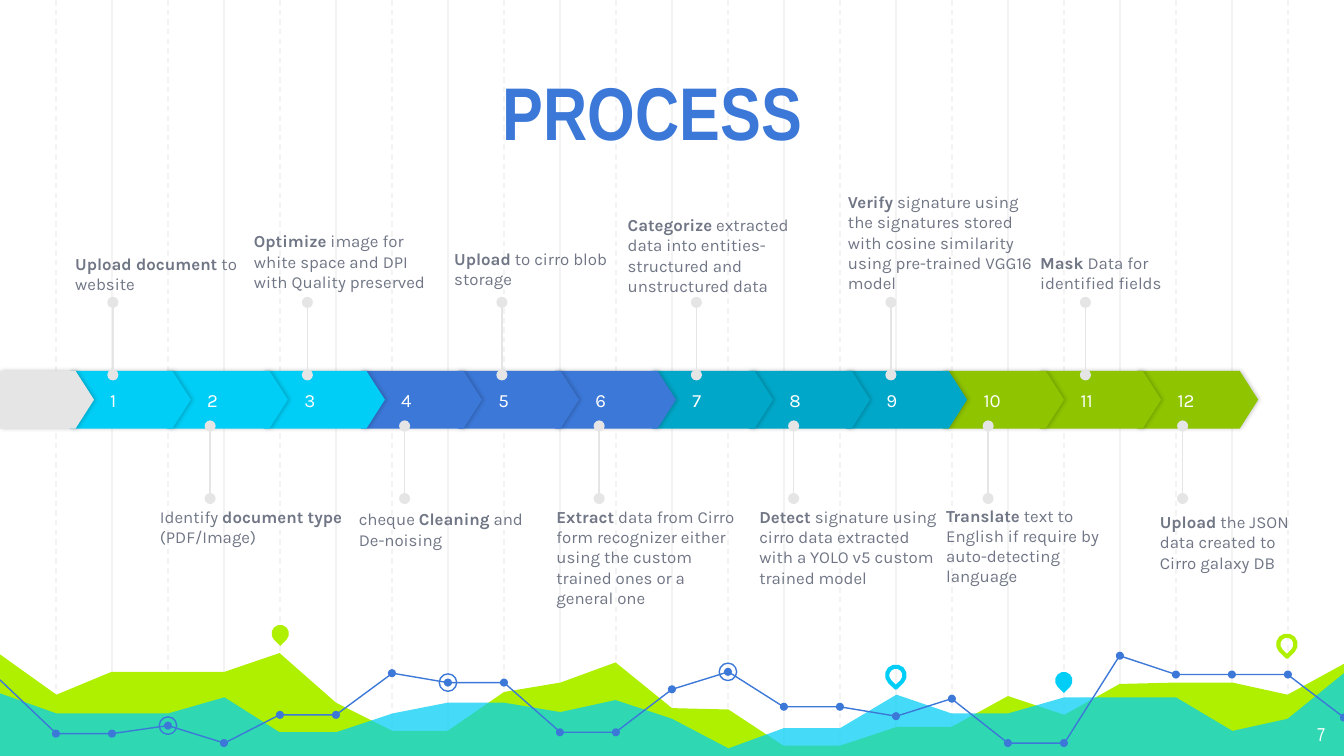
from dataclasses import dataclass
from typing import NamedTuple, Optional

from lxml.etree import SubElement
from pptx import Presentation
from pptx.dml.color import RGBColor
from pptx.enum.dml import MSO_LINE
from pptx.enum.shapes import MSO_CONNECTOR, MSO_SHAPE
from pptx.enum.text import MSO_ANCHOR, MSO_AUTO_SIZE, PP_ALIGN
from pptx.oxml.ns import qn
from pptx.util import Cm, Pt

BLUE, CYAN, TEAL = "3C78D8", "00CEF6", "00A7C8"
LIME, GREEN = "AFF000", "8EC400"
GRAY, PALE, TEXT_GRAY, WHITE = "E5E5E5", "F3F3F3", "707685", "FFFFFF"
HEADING_FONT, BODY_FONT = "Arial Narrow", "Karla"

GRID = 10 / 24
CHEVRON_PITCH = 0.722
PIN_PITCH = 0.7236

# Heights at each grid line, in hundredths of an inch
LIME_AREA = [487, 517, 500, 500, 500, 486, 523, 544, 544, 515, 508, 493, 527,
             528, 555, 555, 541, 541, 518, 532, 509, 508, 508, 517, 494]
CYAN_AREA = [516, 531, 531, 531, 519, 545, 545, 531, 523, 523, 530, 521, 535,
             557, 542, 542, 517, 531, 531, 519, 519, 519, 544, 535, 501]
TREND = [506, 546, 546, 540, 553, 532, 532, 501, 508, 508, 545, 545, 513,
         500, 526, 526, 533, 520, 553, 553, 488, 502, 502, 502, 534]
TREND_PARTS = [(0, 11), (11, 20), (20, 24)]
RINGED_POINTS = [3, 8, 13]


class Run(NamedTuple):
    text: str
    bold: bool = False


class Marker(NamedTuple):
    left: float
    top: float
    color: str
    filled: bool


@dataclass
class Step:
    left: float
    top: float
    paragraphs: list
    width: float = 1.37
    anchor: MSO_ANCHOR = MSO_ANCHOR.TOP


MARKERS = [
    Marker(2.02, 4.65, LIME, True),
    Marker(6.6, 4.96, CYAN, False),
    Marker(7.85, 5, CYAN, True),
    Marker(9.51, 4.73, LIME, False),
]
BOTTOM = MSO_ANCHOR.BOTTOM
STEPS = [
    Step(0.56, 1.61, [[Run("Upload document ", True), Run("to website")]], anchor=BOTTOM),
    Step(1.19, 3.77, [[Run("Identify "), Run("document type ", True), Run("(PDF/Image)")]]),
    Step(1.89, 1.72, [[Run("Optimize", True),
                       Run(" image for white space and DPI with Quality preserved")]]),
    Step(2.67, 3.51, [[Run("cheque "), Run("Cleaning", True), Run(" and")],
                      [Run("De-noising")]], anchor=BOTTOM),
    Step(3.38, 1.57, [[Run("Upload", True), Run(" to cirro blob storage")]], anchor=BOTTOM),
    Step(4.14, 3.77, [[Run("Extract", True),
                       Run(" data from Cirro form recognizer either using the custom "
                           "trained ones or a general one")]]),
    Step(4.67, 1.62, [[Run("Categorize", True),
                       Run(" extracted data into entities- structured and "
                           "unstructured data")]], anchor=BOTTOM),
    Step(5.65, 3.77, [[Run("Detect", True),
                       Run(" signature using cirro data extracted with a YOLO v5 "
                           "custom trained model")]], width=1.32),
    Step(6.31, 1.6, [[Run("Verify", True),
                      Run(" signature using the signatures stored with cosine "
                          "similarity using pre-trained VGG16 model")]], anchor=BOTTOM),
    Step(7.04, 3.76, [[Run("Translate", True),
                       Run(" text to English if require by auto-detecting language")]]),
    Step(7.74, 1.6, [[Run("Mask", True), Run(" Data for identified fields")]], anchor=BOTTOM),
    Step(8.63, 3.81, [[Run("Upload", True),
                       Run(" the JSON data created to Cirro galaxy DB")]], width=1.13),
]
STEP_COLORS = [CYAN, BLUE, TEAL, GREEN]


def inch(value: float) -> Cm:
    return Cm(value * 2.54)


def rgb(color: str) -> RGBColor:
    return RGBColor.from_string(color)


def paint(shape, fill: Optional[str] = None, line: Optional[str] = None,
          width: float = 0.75) -> None:
    shape.shadow.inherit = False
    if fill:
        shape.fill.solid()
        shape.fill.fore_color.rgb = rgb(fill)
    else:
        shape.fill.background()
    if line:
        shape.line.color.rgb = rgb(line)
        shape.line.width = Pt(width)
    else:
        shape.line.fill.background()


def add_preset(slide, kind, left: float, top: float, width: float, height: float):
    return slide.shapes.add_shape(kind, inch(left), inch(top), inch(width), inch(height))


def add_line(slide, x: float, start: float, end: float, color: str,
             dashed: bool = False, dots: bool = False) -> None:
    connector = slide.shapes.add_connector(
        MSO_CONNECTOR.STRAIGHT, inch(x), inch(start), inch(x), inch(end))
    connector.line.color.rgb = rgb(color)
    connector.line.width = Pt(0.75)
    if dashed:
        connector.line.dash_style = MSO_LINE.DASH
    properties = connector.element.spPr
    if dots:
        for end_tag in ("a:headEnd", "a:tailEnd"):
            SubElement(properties.find(qn("a:ln")), qn(end_tag), type="oval")
    SubElement(properties, qn("a:effectLst"))


def add_outline(slide, points: list, closed: bool):
    """Build a freeform from points in hundredths of an inch."""
    builder = slide.shapes.build_freeform(*points[0], scale=inch(0.01))
    builder.add_line_segments(points[1:], close=closed)
    return builder.convert_to_shape()


def add_area(slide, heights: list, color: str, opacity: int = 100) -> None:
    points = [(round(100 * GRID * i), y) for i, y in enumerate(heights)]
    area = add_outline(slide, points + [(1002, 565), (-3, 565)], True)
    paint(area, fill=color)
    if opacity < 100:
        color_element = area.element.spPr.find(qn("a:solidFill"))[0]
        SubElement(color_element, qn("a:alpha"), val=str(opacity * 1000))


def add_marker(slide, marker: Marker) -> None:
    drop = add_preset(slide, MSO_SHAPE.TEAR, marker.left, marker.top, 0.13, 0.13)
    drop.adjustments[0] = 1
    drop.rotation = 135
    if marker.filled:
        paint(drop, fill=marker.color)
    else:
        paint(drop, line=marker.color, width=2.25)


def add_trend(slide) -> None:
    points = [(round(100 * GRID * i), y) for i, y in enumerate(TREND)]
    for first, last in TREND_PARTS:
        paint(add_outline(slide, points[first:last + 1], False), line=BLUE)

    def add_circle(index: int, size: float, **colors: str) -> None:
        x, y = GRID * index, TREND[index] / 100
        circle = add_preset(slide, MSO_SHAPE.OVAL, x - size / 2, y - size / 2, size, size)
        paint(circle, **colors)

    for index in range(1, len(TREND)):
        add_circle(index, 0.06, fill=BLUE)
    for index in RINGED_POINTS:
        add_circle(index, 0.13, line=BLUE)


def write(shape, paragraphs: list, size: float, font: str, color: str,
          anchor=MSO_ANCHOR.TOP, align=PP_ALIGN.LEFT, margin: float = 0) -> None:
    frame = shape.text_frame
    frame.word_wrap = True
    frame.auto_size = MSO_AUTO_SIZE.NONE
    frame.vertical_anchor = anchor
    frame.margin_left = frame.margin_right = inch(margin)
    frame.margin_top = frame.margin_bottom = inch(margin)
    for index, runs in enumerate(paragraphs):
        paragraph = frame.add_paragraph() if index else frame.paragraphs[0]
        paragraph.alignment = align
        for text, bold in runs:
            run = paragraph.add_run()
            run.text = text
            run.font.size = Pt(size)
            run.font.name = font
            run.font.bold = bold
            run.font.color.rgb = rgb(color)


def add_chevron(slide, left: float, width: float, color: str, label: str = "") -> None:
    chevron = add_preset(slide, MSO_SHAPE.PENTAGON, left, 2.76, width, 0.43)
    chevron.adjustments[0] = 0.32
    paint(chevron, fill=color)
    effects = chevron.element.spPr.find(qn("a:effectLst"))
    shadow = SubElement(effects, qn("a:outerShdw"), blurRad=str(Pt(2.25)),
                        dist=str(Pt(0.75)), dir="0", algn="bl", rotWithShape="0")
    shadow_color = SubElement(shadow, qn("a:srgbClr"), val="000000")
    SubElement(shadow_color, qn("a:alpha"), val="20000")
    if label:
        write(chevron, [[Run(label)]], 10, BODY_FONT, WHITE, MSO_ANCHOR.MIDDLE)
        chevron.text_frame.margin_left = inch(0.3)


def add_text_box(slide, left: float, top: float, width: float, height: float):
    return slide.shapes.add_textbox(inch(left), inch(top), inch(width), inch(height))


def add_background(slide) -> None:
    for first, dashed in ((2, False), (1, True)):
        for column in range(first, 24, 2):
            add_line(slide, GRID * column, 0, 5.65, PALE, dashed=dashed)
    add_area(slide, LIME_AREA, LIME)
    add_area(slide, CYAN_AREA, CYAN, opacity=73)
    for marker in MARKERS:
        add_marker(slide, marker)
    add_trend(slide)


def add_title(slide) -> None:
    title = slide.shapes.title
    title.left, title.top = inch(1.03), inch(0.25)
    title.width, title.height = inch(7.65), inch(1.01)
    write(title, [[Run("PROCESS", True)]], 40, HEADING_FONT, BLUE,
          BOTTOM, PP_ALIGN.CENTER, margin=0.1)
    title.element.getparent().append(title.element)  # in front of the grid


def add_process(slide) -> None:
    for index in reversed(range(len(STEPS))):
        add_chevron(slide, 0.52 + CHEVRON_PITCH * index, 0.9,
                    STEP_COLORS[index // 3], str(index + 1))
    add_chevron(slide, 0, 0.7, GRAY)
    for index, step in enumerate(STEPS):
        start, end = (3.71, 3.17) if index % 2 else (2.79, 2.25)
        add_line(slide, 0.84 + PIN_PITCH * index, start, end, GRAY, dots=True)
        box = add_text_box(slide, step.left, step.top, step.width, 0.58)
        write(box, step.paragraphs, 9, BODY_FONT, TEXT_GRAY, step.anchor)


def main() -> None:
    presentation = Presentation()
    presentation.slide_width, presentation.slide_height = Cm(25.4), Cm(14.29)
    slide = presentation.slides.add_slide(presentation.slide_layouts[5])
    add_background(slide)
    add_title(slide)
    page_number = add_text_box(slide, 9.36, 5.28, 0.6, 0.35)
    write(page_number, [[Run("7")]], 10, HEADING_FONT, WHITE,
          align=PP_ALIGN.RIGHT, margin=0.1)
    add_process(slide)
    presentation.save("out.pptx")


if __name__ == "__main__":
    main()
